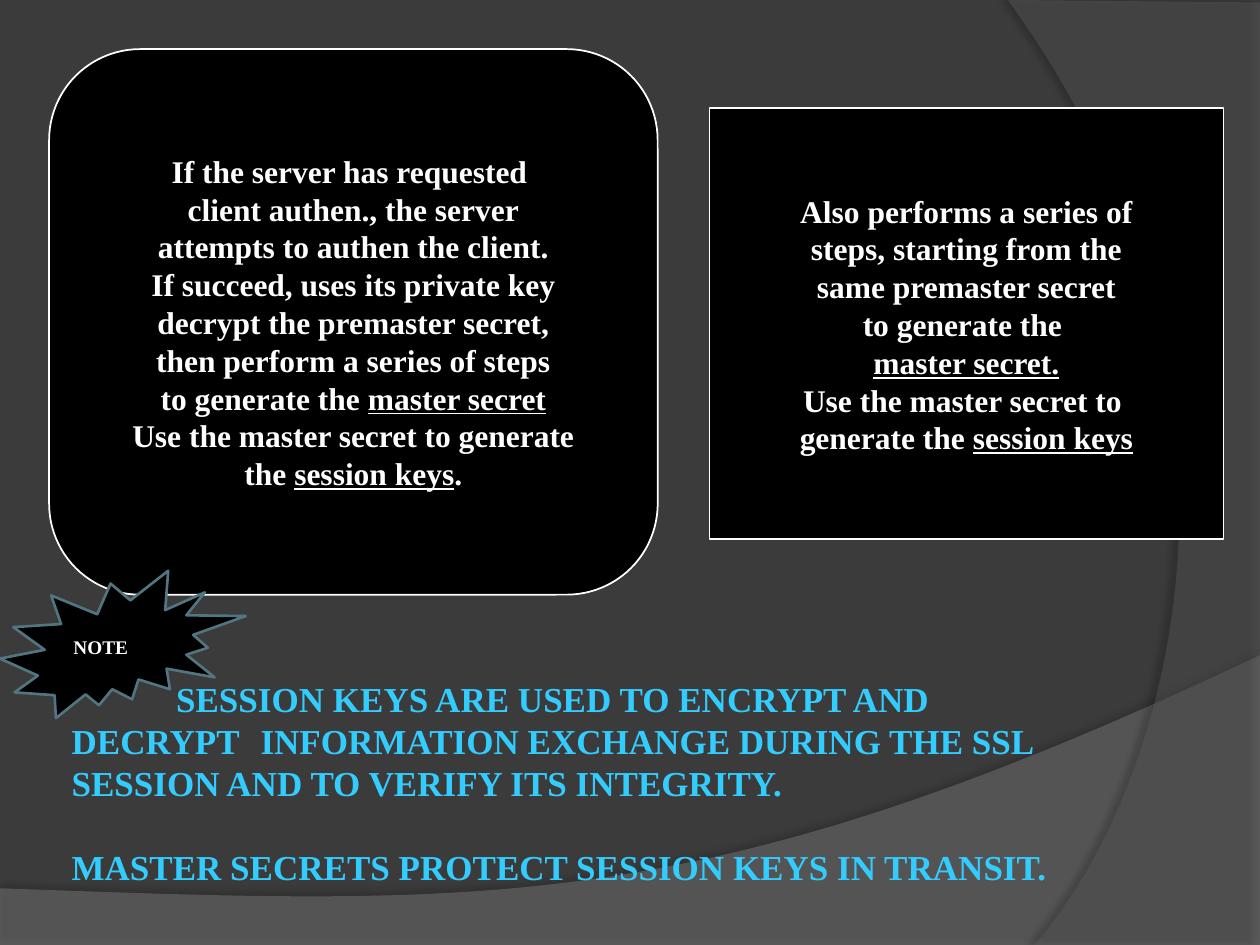
from lxml.etree import SubElement
from pptx import Presentation
from pptx.dml.color import RGBColor
from pptx.enum.shapes import MSO_SHAPE
from pptx.enum.text import MSO_ANCHOR, PP_ALIGN
from pptx.oxml.ns import qn
from pptx.util import Inches, Pt

THEME = {
    "bg": "3B3B3B", "box": "000000", "white": "FFFFFF", "accent": "33CCFF",
    "seal": "517682", "font": "Times New Roman",
    "box_size": 18, "body_size": 20, "note_size": 11,
}

# Content: each line is a list of (text, underlined) runs
SERVER = [
    [("If the server has requested ", False)],
    [("client authen., the server", False)],
    [("attempts to authen the client.", False)],
    [("If succeed, uses its private key", False)],
    [("decrypt the premaster secret,", False)],
    [("then perform a series of steps", False)],
    [("to generate the ", False), ("master secret", True)],
    [("Use the master secret to generate", False)],
    [("the ", False), ("session keys", True), (".", False)],
]
CLIENT = [
    [("Also performs a series of", False)],
    [("steps, starting from the", False)],
    [("same premaster secret", False)],
    [("to generate the ", False)],
    [("master secret.", True)],
    [("Use the master secret to ", False)],
    [("generate the ", False), ("session keys", True)],
]
SUMMARY = [
    [("SESSION KEYS ARE USED TO ENCRYPT AND DECRYPT\tINFORMATION EXCHANGE "
      "DURING THE SSL SESSION AND TO VERIFY ITS INTEGRITY.", False)],
    [("MASTER SECRETS PROTECT SESSION KEYS IN TRANSIT.", False)],
]
NOTE = [[("NOTE", False)]]

# Background swooshes: corners, then the four control points of the curved edge
SWOOSHES = [
    {"corners": [(0, 7.51), (10, 7.51)],
     "curve": [(10, 5.2), (5.59, 7.29), (3.91, 7.19), (0, 7.05)],
     "fill": "7F7F7F", "alpha": 45,
     "shadow": {"alpha": 35, "blur": 4, "dist": 3.5, "dir": 270}},
    {"corners": [(10, 0.02), (10, 7.5)],
     "curve": [(8.21, 7.5), (9.35, 6.19), (10.18, 3), (8, 0)],
     "fill": "5E5E5E", "alpha": 40,
     "shadow": {"alpha": 45, "blur": 4, "dist": 4, "dir": 180}},
]

# Shapes: preset, position, line colour and width, text and its format
SHAPES = [
    (MSO_SHAPE.ROUNDED_RECTANGLE, (0.39, 0.39, 4.83, 4.33), ("white", 1),
     SERVER, "box_size", PP_ALIGN.CENTER, False),
    (MSO_SHAPE.RECTANGLE, (5.63, 0.86, 4.08, 3.42), ("white", 1),
     CLIENT, "box_size", PP_ALIGN.CENTER, False),
    (MSO_SHAPE.EXPLOSION2, (0, 4.53, 1.95, 1.17), ("seal", 1.5),
     NOTE, "note_size", PP_ALIGN.LEFT, True),
]


def rgb(name):
    return RGBColor.from_string(THEME.get(name, name))


def bezier(points, steps=60):
    for i in range(steps + 1):
        t = i / steps
        weights = ((1 - t) ** 3, 3 * t * (1 - t) ** 2, 3 * t * t * (1 - t), t ** 3)
        yield tuple(sum(w * pt[axis] for w, pt in zip(weights, points))
                    for axis in (0, 1))


def set_alpha(color, percent):
    SubElement(color, qn("a:alpha")).set("val", str(percent * 1000))


def add_swoosh(s, corners, curve, fill, alpha, shadow):
    points = [(Inches(x), Inches(y)) for x, y in corners + list(bezier(curve))]
    builder = s.shapes.build_freeform(*points[0], scale=1.0)
    builder.add_line_segments(points[1:], close=True)
    sp = builder.convert_to_shape()
    sp.fill.solid()
    sp.fill.fore_color.rgb = rgb(fill)
    sp.line.fill.background()
    sp_pr = sp.fill._xPr
    set_alpha(sp_pr.find(qn("a:solidFill")).find(qn("a:srgbClr")), alpha)
    sp.shadow.inherit = False
    outer = SubElement(sp_pr.find(qn("a:effectLst")), qn("a:outerShdw"))
    values = {"blurRad": Pt(shadow["blur"]), "dist": Pt(shadow["dist"]),
              "dir": shadow["dir"] * 60000, "algn": "ctr", "rotWithShape": 0}
    for key, value in values.items():
        outer.set(key, str(value))
    color = SubElement(outer, qn("a:srgbClr"))
    color.set("val", "000000")
    set_alpha(color, shadow["alpha"])


def write(tf, lines, size, color, align, **frame):
    for key, value in frame.items():
        setattr(tf, key, value)
    font = {"name": THEME["font"], "size": Pt(THEME[size]), "bold": True}
    for i, runs in enumerate(lines):
        p = tf.paragraphs[0] if i == 0 else tf.add_paragraph()
        p.alignment = align
        for text, underlined in runs:
            r = p.add_run()
            r.text = text
            for key, value in {**font, "underline": underlined}.items():
                setattr(r.font, key, value)
            r.font.color.rgb = rgb(color)


prs = Presentation()
prs.slide_width, prs.slide_height = Inches(10), Inches(7.5)
s = prs.slides.add_slide(prs.slide_layouts[6])

# Background
s.background.fill.solid()
s.background.fill.fore_color.rgb = rgb("bg")
for swoosh in SWOOSHES:
    add_swoosh(s, **swoosh)

# Summary text: first line indented, tab gap after DECRYPT
tb = s.shapes.add_textbox(*map(Inches, (0.47, 5, 8, 2.46)))
tf = tb.text_frame
write(tf, SUMMARY, "body_size", "accent", PP_ALIGN.LEFT,
      word_wrap=True, margin_top=Inches(0.38))
first, last = tf.paragraphs
last.space_before = Pt(24)
p_pr = first._p.get_or_add_pPr()
p_pr.set("indent", str(Inches(0.83)))
tab = SubElement(SubElement(p_pr, qn("a:tabLst")), qn("a:tab"))
tab.set("pos", str(Inches(1.68)))
tab.set("algn", "l")

# Boxes and note seal
for preset, place, (line, width), lines, size, align, wrap in SHAPES:
    sp = s.shapes.add_shape(preset, *map(Inches, place))
    sp.shadow.inherit = False
    sp.fill.solid()
    sp.fill.fore_color.rgb = rgb("box")
    sp.line.color.rgb = rgb(line)
    sp.line.width = Pt(width)
    write(sp.text_frame, lines, size, "white", align,
          word_wrap=wrap, vertical_anchor=MSO_ANCHOR.MIDDLE)

prs.save("out.pptx")
